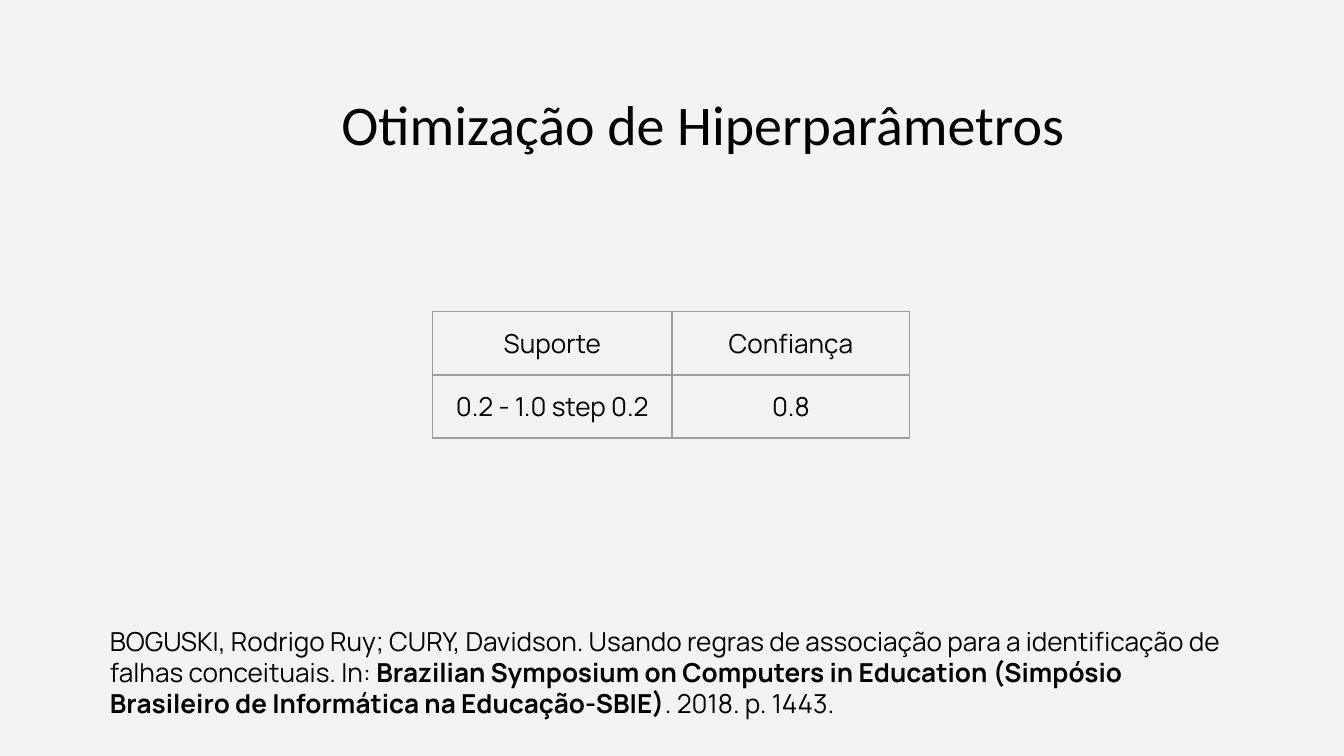
"""Build the hyperparameter optimisation slide with its table and citation."""
from lxml.etree import SubElement
from pptx import Presentation
from pptx.dml.color import RGBColor
from pptx.enum.text import MSO_ANCHOR, MSO_AUTO_SIZE, PP_ALIGN
from pptx.oxml.ns import qn
from pptx.util import Inches, Pt

COLORS = {"background": "F3F3F3", "text": "000000", "border": "9E9E9E"}


def add_text(paragraph, text, size=14, font="Manrope", bold=False, align=PP_ALIGN.LEFT):
    paragraph.alignment = align
    run = paragraph.add_run()
    run.text = text
    run.font.size = Pt(size)
    run.font.name = font
    run.font.bold = bold
    run.font.color.rgb = RGBColor.from_string(COLORS["text"])


def set_margins(target):
    target.margin_left = target.margin_right = Inches(0.1)
    target.margin_top = target.margin_bottom = Inches(0.1)


presentation = Presentation()
presentation.slide_width = Inches(10)
presentation.slide_height = Inches(10 * 9 / 16)
slide = presentation.slides.add_slide(presentation.slide_layouts[5])
slide.background.fill.solid()
slide.background.fill.fore_color.rgb = RGBColor.from_string(COLORS["background"])

title = slide.shapes.title
title.left, title.top = Inches(2.44), Inches(0.57)
title.width, title.height = Inches(5.7), Inches(0.69)
title_frame = title.text_frame
title_frame.auto_size = MSO_AUTO_SIZE.NONE
title_frame.word_wrap = True
title_frame.vertical_anchor = MSO_ANCHOR.MIDDLE
set_margins(title_frame)
add_text(title_frame.paragraphs[0], "Otimização de Hiperparâmetros", size=30, font="Calibri")

citation = slide.shapes.add_textbox(Inches(0.72), Inches(4.55), Inches(8.6), Inches(0.87))
citation_frame = citation.text_frame
citation_frame.word_wrap = True
set_margins(citation_frame)
for text, bold in [
    ("BOGUSKI, Rodrigo Ruy; CURY, Davidson. Usando regras de associação "
     "para a identificação de falhas conceituais. In: ", False),
    ("Brazilian Symposium on Computers in Education "
     "(Simpósio Brasileiro de Informática na Educação-SBIE)", True),
    (". 2018. p. 1443.", False),
]:
    add_text(citation_frame.paragraphs[0], text, bold=bold)

parameters = [["Suporte", "Confiança"], ["0.2 - 1.0 step 0.2", "0.8"]]
table = slide.shapes.add_table(
    2, 2, Inches(3.22), Inches(2.32), Inches(3.55), Inches(0.94)
).table
table.first_row = table.horz_banding = False
for column, width in zip(table.columns, (1.78, 1.77)):
    column.width = Inches(width)
for row, values in zip(table.rows, parameters):
    row.height = Inches(0.47)
    for cell, value in zip(row.cells, values):
        set_margins(cell)
        add_text(cell.text_frame.paragraphs[0], value, align=PP_ALIGN.CENTER)
        properties = cell._tc.get_or_add_tcPr()
        for side in ("a:lnL", "a:lnR", "a:lnT", "a:lnB"):
            line = SubElement(properties, qn(side), w=str(Pt(0.75)))
            fill = SubElement(line, qn("a:solidFill"))
            SubElement(fill, qn("a:srgbClr"), val=COLORS["border"])
        cell.fill.background()

presentation.save("out.pptx")
